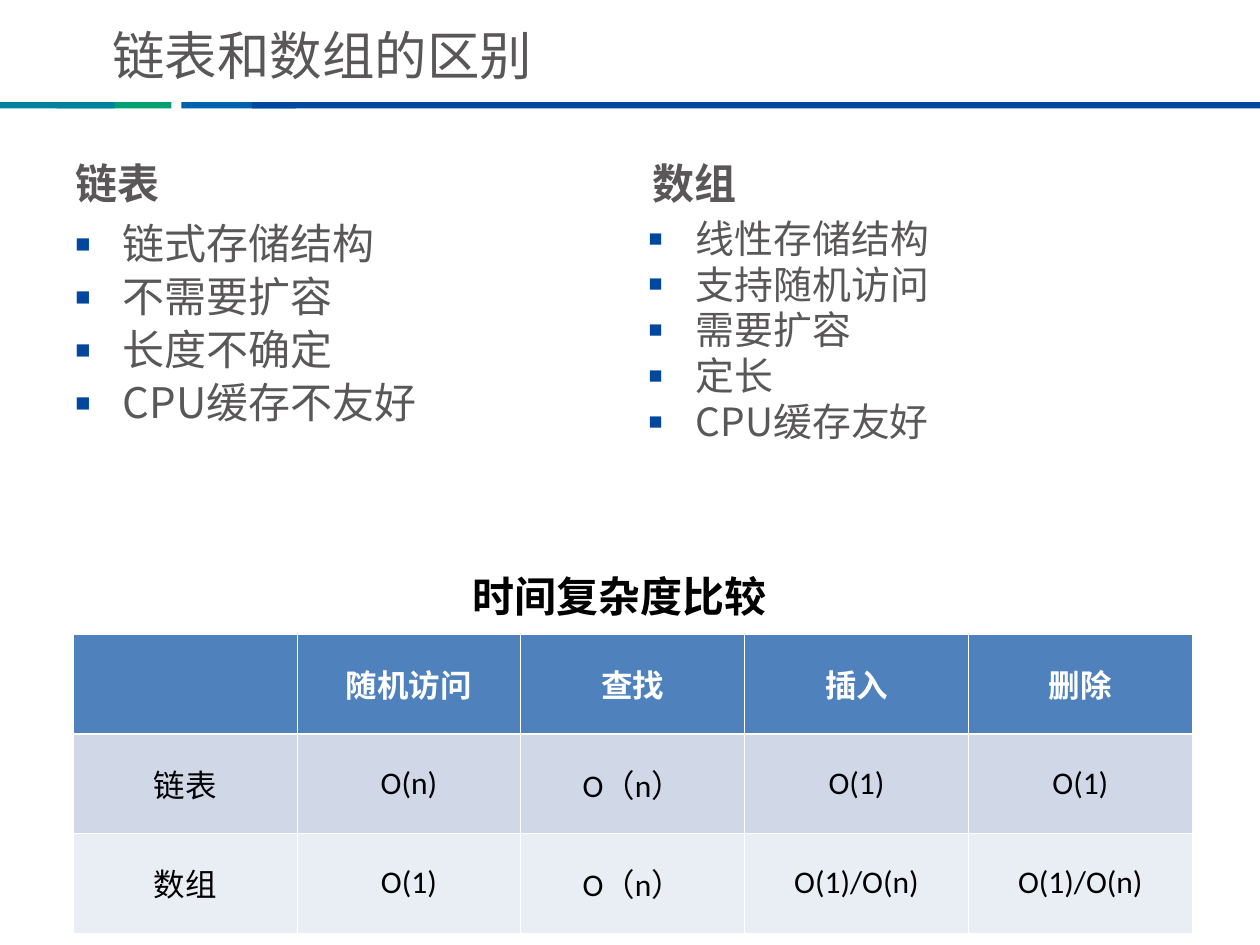
from lxml import etree
from pptx import Presentation
from pptx import util as u
from pptx.dml.color import RGBColor
from pptx.enum import shapes, text
from pptx.oxml import ns

GREY = RGBColor(0x59, 0x57, 0x57)
BLACK = RGBColor(0, 0, 0)
WHITE = RGBColor(255, 255, 255)
NAVY = RGBColor(0x00, 0x47, 0x9D)
BLUE = RGBColor(0x00, 0x62, 0xAD)
GREEN = RGBColor(0x00, 0xA0, 0x73)
TEAL = RGBColor(0x00, 0x81, 0x9C)
HEADER_FILL = RGBColor(0x4F, 0x81, 0xBD)
ROW_FILLS = [HEADER_FILL, RGBColor(0xD0, 0xD8, 0xE8), RGBColor(0xE9, 0xED, 0xF4)]
CJK = "Noto Sans CJK SC"

TITLE = "链表和数组的区别"
CAPTION = "时间复杂度比较"
BARS = [(32.4, 65.5, GREEN), (103.7, 65.5, BLUE), (144, 576, NAVY), (0, 65.5, TEAL)]
COLUMNS = [
    {"heading": "链表", "heading_left": 36, "list_left": 36, "size": 24, "spacing": 0.95,
     "items": ["链式存储结构", "不需要扩容", "长度不确定", "CPU缓存不友好"]},
    {"heading": "数组", "heading_left": 365.8, "list_left": 363.6, "size": 22.2, "spacing": 0.87,
     "items": ["线性存储结构", "支持随机访问", "需要扩容", "定长", "CPU缓存友好"]},
]
COMPLEXITY = [
    ["", "随机访问", "查找", "插入", "删除"],
    ["链表", "O(n)", "O（n）", "O(1)", "O(1)"],
    ["数组", "O(1)", "O（n）", "O(1)/O(n)", "O(1)/O(n)"],
]

COLUMN_WIDTH = 318.2
HEADING_TOP, HEADING_HEIGHT = 69.8, 50.4
LIST_TOP, LIST_HEIGHT = 120.2, 155.5
INDENT = 27
CELL_WIDTH, CELL_HEIGHT = 127.9, 56.88
THIN, THICK = 0.45, 1.47


def points(*values):
    return [u.Pt(value) for value in values]


def add_child(parent, tag, **attributes):
    return etree.SubElement(parent, ns.qn(tag), attributes)


def apply(target, values):
    for name, value in values.items():
        setattr(target, name, value)


def write(para, words, size, color, font=CJK, bold=False, **layout):
    apply(para, layout)
    span = para.add_run()
    span.text = words
    apply(span.font, {"size": u.Pt(size), "bold": bold, "name": font})
    span.font.color.rgb = color
    add_child(span.font._element, "a:ea", typeface=CJK)


def add_box(page, *place, **frame):
    box = page.shapes.add_textbox(*points(*place))
    apply(box.text_frame, {"word_wrap": True, **frame})
    return box.text_frame


def add_bullet(para):
    props = para._p.get_or_add_pPr()
    apply_indent = {"marL": u.Pt(INDENT), "indent": -u.Pt(INDENT)}
    for name, value in apply_indent.items():
        props.set(name, str(value))
    add_child(add_child(props, "a:buClr"), "a:srgbClr", val=str(NAVY))
    add_child(props, "a:buSzPct", val="60000")
    add_child(props, "a:buFont", typeface="Arial")
    add_child(props, "a:buChar", char="■")


def add_borders(cell, row):
    widths = {"a:lnL": THIN, "a:lnR": THIN,
              "a:lnT": THICK if row == 1 else THIN,
              "a:lnB": THICK if row == 0 else THIN}
    props = cell._tc.get_or_add_tcPr()
    for tag, width in widths.items():
        line = add_child(props, tag, w=str(u.Pt(width)))
        add_child(add_child(line, "a:solidFill"), "a:srgbClr", val=str(WHITE))


def add_bars(page):
    for left, width, color in BARS:
        bar = page.shapes.add_shape(shapes.MSO_SHAPE.RECTANGLE, *points(left, 58.4, width, 3.6))
        bar.shadow.inherit = False
        bar.fill.solid()
        bar.fill.fore_color.rgb = color
        bar.line.fill.background()


def add_title(page):
    title = page.shapes.title
    place = points(56.9, 11.5, 431.3, 38.9)
    apply(title, dict(zip(("left", "top", "width", "height"), place)))
    apply(title.text_frame, {"auto_size": text.MSO_AUTO_SIZE.NONE, "word_wrap": True,
                             "vertical_anchor": text.MSO_ANCHOR.MIDDLE})
    write(title.text_frame.paragraphs[0], TITLE, 30, GREY, alignment=text.PP_ALIGN.LEFT)


def add_column(page, column):
    heading = add_box(page, column["heading_left"], HEADING_TOP, COLUMN_WIDTH, HEADING_HEIGHT,
                      vertical_anchor=text.MSO_ANCHOR.BOTTOM, margin_bottom=u.Pt(1.6))
    write(heading.paragraphs[0], column["heading"], 24, GREY, bold=True,
          alignment=text.PP_ALIGN.JUSTIFY, line_spacing=1.25)
    points_list = add_box(page, column["list_left"], LIST_TOP, COLUMN_WIDTH, LIST_HEIGHT,
                          margin_top=u.Pt(6))
    for index, item in enumerate(column["items"]):
        para = points_list.add_paragraph() if index else points_list.paragraphs[0]
        add_bullet(para)
        write(para, item, column["size"], GREY, alignment=text.PP_ALIGN.JUSTIFY,
              line_spacing=column["spacing"], space_before=u.Pt(3 if index else 0))


def add_complexity_table(page):
    rows, columns = len(COMPLEXITY), len(COMPLEXITY[0])
    place = points(41.8, 362.5, CELL_WIDTH * columns, CELL_HEIGHT * rows)
    table = page.shapes.add_table(rows, columns, *place).table
    apply(table, {"first_row": False, "horz_banding": False})
    for row, values in enumerate(COMPLEXITY):
        for column, value in enumerate(values):
            cell = table.cell(row, column)
            add_borders(cell, row)
            cell.fill.solid()
            cell.fill.fore_color.rgb = ROW_FILLS[row]
            cell.vertical_anchor = text.MSO_ANCHOR.MIDDLE
            if value:
                write(cell.text_frame.paragraphs[0], value, 18, BLACK if row else WHITE,
                      font="Calibri", bold=row == 0, alignment=text.PP_ALIGN.CENTER)


def main():
    deck = Presentation()
    apply(deck, {"slide_width": u.Pt(720), "slide_height": u.Pt(540)})
    page = deck.slides.add_slide(deck.slide_layouts[5])
    add_bars(page)
    add_title(page)
    for column in COLUMNS:
        add_column(page, column)
    add_complexity_table(page)
    caption = add_box(page, 262.8, 322.6, 182.2, 36, word_wrap=False,
                      vertical_anchor=text.MSO_ANCHOR.MIDDLE)
    write(caption.paragraphs[0], CAPTION, 24, BLACK, font="Arial", bold=True)
    deck.save("out.pptx")


if __name__ == "__main__":
    main()
